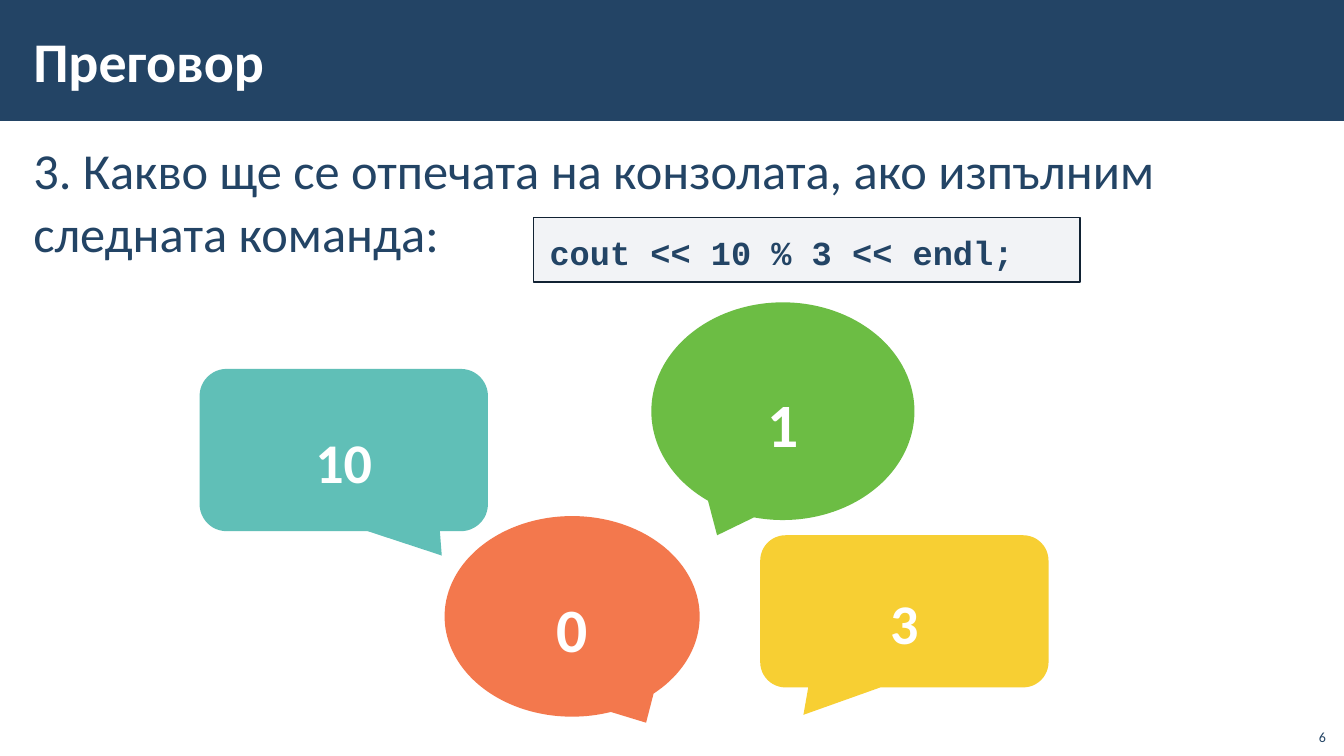
from dataclasses import dataclass

from lxml.etree import SubElement
from pptx import Presentation
from pptx.dml.color import RGBColor
from pptx.enum.shapes import MSO_SHAPE as Shape
from pptx.enum.text import MSO_ANCHOR as Anchor, PP_ALIGN as Align
from pptx.oxml.ns import qn
from pptx.util import Inches, Pt


@dataclass(frozen=True)
class Theme:
    navy: str = "234465"
    white: str = "FFFFFF"
    code_fill: str = "ADB4C3"
    code_line: str = "112233"
    teal: str = "60BFB7"
    green: str = "6CBD44"
    yellow: str = "F5C300"
    orange: str = "F15721"
    body_font: str = "Calibri"
    code_font: str = "Courier New"
    title_size: int = 40
    question_size: int = 36
    code_size: int = 24
    answer_size: int = 40
    big_answer_size: int = 44
    number_size: int = 10


THEME = Theme()


def write(shape, text, size, color=THEME.navy, font=THEME.body_font, bold=False,
          align=Align.LEFT, anchor=Anchor.TOP, insets=(0.12, 0.04, 0.12, 0.04),
          line_spacing=1.0, space=0):
    frame = shape.text_frame
    frame.word_wrap = True
    frame.vertical_anchor = anchor
    (frame.margin_left, frame.margin_top,
     frame.margin_right, frame.margin_bottom) = map(Inches, insets)
    paragraph = frame.paragraphs[0]
    paragraph.alignment = align
    paragraph.line_spacing = line_spacing
    paragraph.space_before = paragraph.space_after = Pt(space)
    run = paragraph.add_run()
    run.text = text
    run.font.name, run.font.size, run.font.bold = font, Pt(size), bold
    run.font.color.rgb = RGBColor.from_string(color)


def add_filled(slide, preset, box, color, opacity=100):
    shape = slide.shapes.add_shape(preset, *map(Inches, box))
    shape.shadow.inherit = False
    shape.line.fill.background()
    shape.fill.solid()
    shape.fill.fore_color.rgb = RGBColor.from_string(color)
    if opacity < 100:
        fill_color = shape._element.spPr.find(".//" + qn("a:srgbClr"))
        SubElement(fill_color, qn("a:alpha"), val=str(opacity * 1000))
    return shape


def add_header(slide, box, text):
    left, top, width, height = box
    band = add_filled(slide, Shape.RECTANGLE, box, THEME.navy)
    slide.shapes._spTree.insert(2, band._element)  # behind the title
    title = slide.shapes.title
    title.left, title.top = Inches(left + 0.21), Inches(top + 0.11)
    title.width, title.height = Inches(width - 2.7), Inches(height - 0.23)
    write(title, text, THEME.title_size, THEME.white, bold=True, anchor=Anchor.MIDDLE)


def add_question(slide, box, text, code):
    left, top, width, height = box
    question = slide.shapes.add_textbox(*map(Inches, box))
    write(question, text, THEME.question_size, line_spacing=1.05, space=6)

    # Command beside the end of the question
    command = add_filled(slide, Shape.RECTANGLE, (left + 5.08, top + 0.85, 5.42, 0.64),
                         THEME.code_fill, opacity=15)
    command.line.color.rgb = RGBColor.from_string(THEME.code_line)
    command.line.width = Pt(1)
    write(command, code, THEME.code_size, font=THEME.code_font, bold=True,
          insets=(0.16, 0.12, 0.16, 0.12), line_spacing=1.05)


def add_answer(slide, box, text, preset, pointer, color, opacity, size):
    bubble = add_filled(slide, preset, box, color, opacity)
    for index, value in enumerate(pointer):
        bubble.adjustments[index] = value
    write(bubble, text, size, THEME.white, bold=True, align=Align.CENTER,
          anchor=Anchor.MIDDLE, insets=(0.1, 0.15, 0.1, 0), line_spacing=1.1)


def add_page_number(slide, box, text):
    number = slide.shapes.add_textbox(*map(Inches, box))
    write(number, text, THEME.number_size, align=Align.RIGHT, anchor=Anchor.BOTTOM,
          insets=(0.1, 0.05, 0.1, 0.05))


def build_quiz_slide(presentation):
    slide = presentation.slides.add_slide(presentation.slide_layouts[5])
    add_header(slide, (0, 0, 13.34, 1.2), "Преговор")
    add_question(slide, (0.21, 1.31, 12.92, 1.6),
                 "3. Какво ще се отпечата на конзолата, ако изпълним следната команда:",
                 "cout << 10 % 3 << endl;")

    # Answer bubbles
    rounded = Shape.ROUNDED_RECTANGULAR_CALLOUT, THEME.answer_size
    oval = Shape.OVAL_CALLOUT, THEME.big_answer_size
    answers = [
        ("10", (1.98, 3.66, 2.86, 1.61), rounded, (0.34, 0.65), THEME.teal, 100),
        ("1", (6.46, 3, 2.61, 2.16), oval, (-0.25, 0.57), THEME.green, 100),
        ("3", (7.54, 5.31, 2.86, 1.51), rounded, (-0.35, 0.68), THEME.yellow, 80),
        ("0", (4.41, 5.12, 2.53, 1.99), oval, (0.29, 0.53), THEME.orange, 80),
    ]
    for text, box, (preset, size), pointer, color, opacity in answers:
        add_answer(slide, box, text, preset, pointer, color, opacity, size)

    add_page_number(slide, (12.85, 7.12, 0.4, 0.32), "6")


def main():
    presentation = Presentation()
    presentation.slide_width, presentation.slide_height = Inches(13.33), Inches(7.5)
    build_quiz_slide(presentation)
    presentation.save("out.pptx")


if __name__ == "__main__":
    main()
